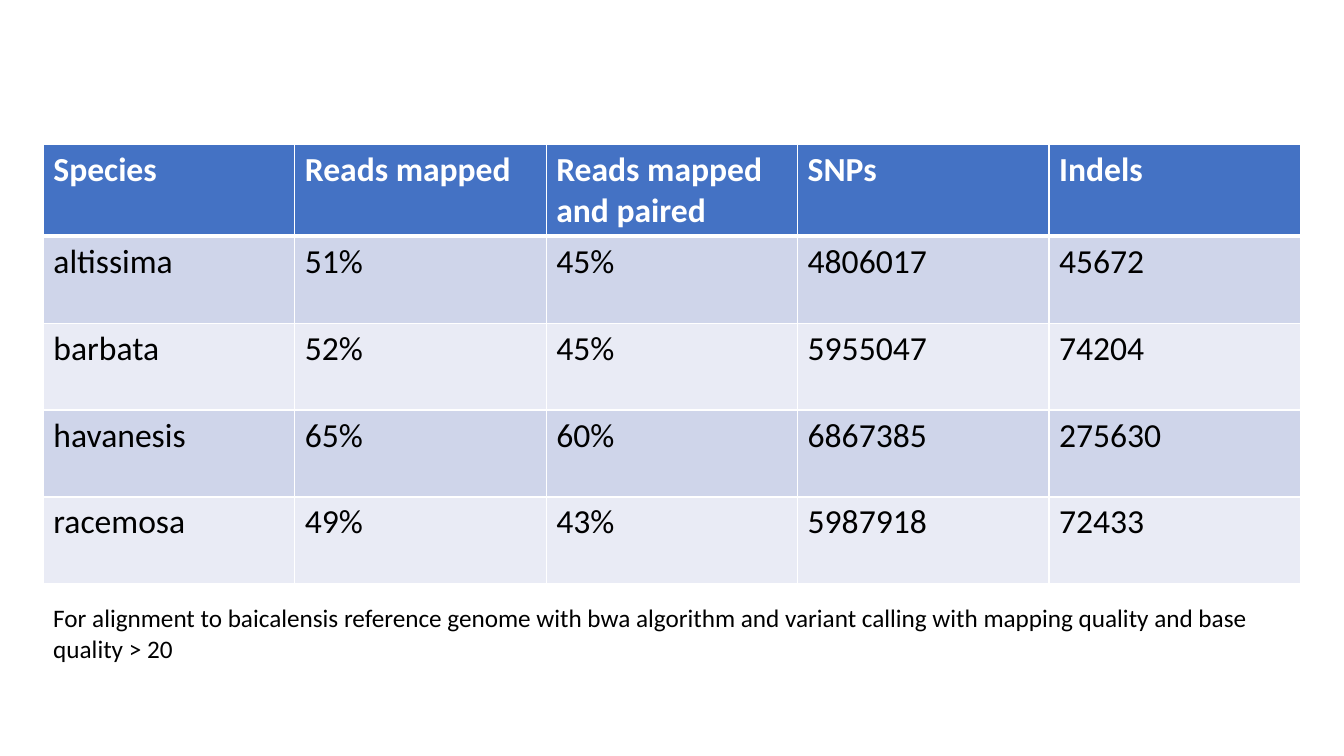
from lxml import etree
from pptx import Presentation
from pptx.dml.color import RGBColor
from pptx.oxml.ns import qn
from pptx.util import Inches, Pt

FONT = "Calibri"
COLORS = {
    "header": "4472C4",
    "odd_row": "CFD5EA",
    "even_row": "E9EBF5",
    "border": "FFFFFF",
    "header_text": "FFFFFF",
    "text": "000000",
}

# Page grid, in inches
LEFT, WIDTH = 0.43, 12.47
TABLE_TOP, TABLE_HEIGHT, HEADER_HEIGHT = 1.43, 4.36, 0.91
CAPTION_TOP, CAPTION_HEIGHT = 5.93, 0.71

MAPPING_RESULTS = [
    ("Species", "Reads mapped", "Reads mapped and paired", "SNPs", "Indels"),
    ("altissima", "51%", "45%", "4806017", "45672"),
    ("barbata", "52%", "45%", "5955047", "74204"),
    ("havanesis", "65%", "60%", "6867385", "275630"),
    ("racemosa", "49%", "43%", "5987918", "72433"),
]
CAPTION = ("For alignment to baicalensis reference genome with bwa algorithm and "
           "variant calling with mapping quality and base quality > 20")


def style_text(frame, size, color, bold=False):
    font = frame.paragraphs[0].font
    font.name, font.size, font.bold = FONT, Pt(size), bold
    font.color.rgb = RGBColor.from_string(COLORS[color])


def set_borders(cell, **widths):
    properties = cell._tc.get_or_add_tcPr()
    for side, width in widths.items():
        line = etree.SubElement(properties, qn(f"a:ln{side}"), w=str(Pt(width)))
        fill = etree.SubElement(line, qn("a:solidFill"))
        etree.SubElement(fill, qn("a:srgbClr"), val=COLORS["border"])


def fill_cell(cell, text, row):
    is_header = row == 0
    cell.text = text
    style_text(cell.text_frame, 24, "header_text" if is_header else "text", is_header)
    # Heavier rule between the header and the species rows
    set_borders(cell, L=1, R=1, T=3 if row == 1 else 1, B=3 if is_header else 1)
    band = "header" if is_header else "odd_row" if row % 2 else "even_row"
    cell.fill.solid()
    cell.fill.fore_color.rgb = RGBColor.from_string(COLORS[band])


def add_results_table(slide, results):
    row_count, column_count = len(results), len(results[0])
    table = slide.shapes.add_table(
        row_count, column_count, Inches(LEFT), Inches(TABLE_TOP),
        Inches(WIDTH), Inches(TABLE_HEIGHT)).table
    for column in table.columns:
        column.width = Inches(WIDTH / column_count)
    body_height = (TABLE_HEIGHT - HEADER_HEIGHT) / (row_count - 1)
    for row, values in enumerate(results):
        table.rows[row].height = Inches(body_height if row else HEADER_HEIGHT)
        for column, value in enumerate(values):
            fill_cell(table.cell(row, column), value, row)


def add_caption(slide, text):
    frame = slide.shapes.add_textbox(
        Inches(LEFT), Inches(CAPTION_TOP), Inches(WIDTH), Inches(CAPTION_HEIGHT)).text_frame
    frame.word_wrap = True
    frame.text = text
    style_text(frame, 18, "text")


def main():
    presentation = Presentation()
    presentation.slide_width, presentation.slide_height = Inches(13.33), Inches(7.5)
    slide = presentation.slides.add_slide(presentation.slide_layouts[6])
    add_results_table(slide, MAPPING_RESULTS)
    add_caption(slide, CAPTION)
    presentation.save("out.pptx")


if __name__ == "__main__":
    main()
